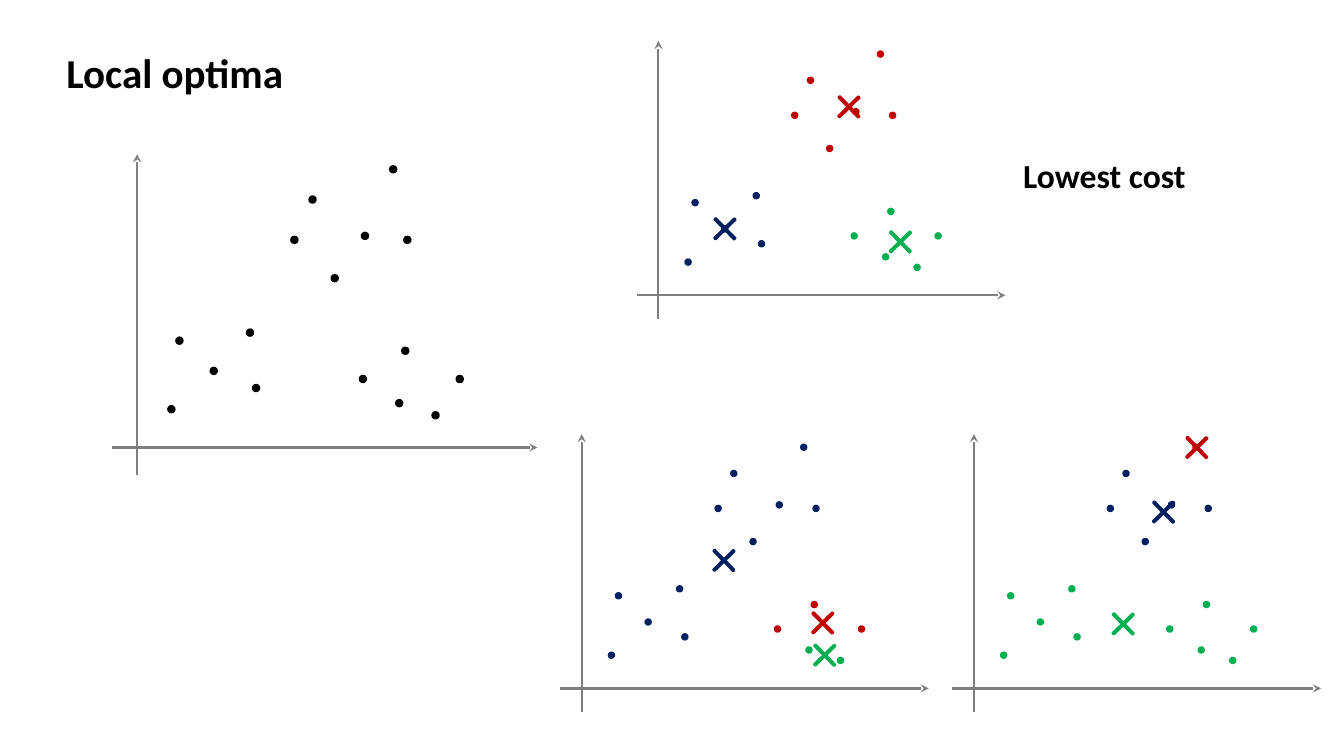
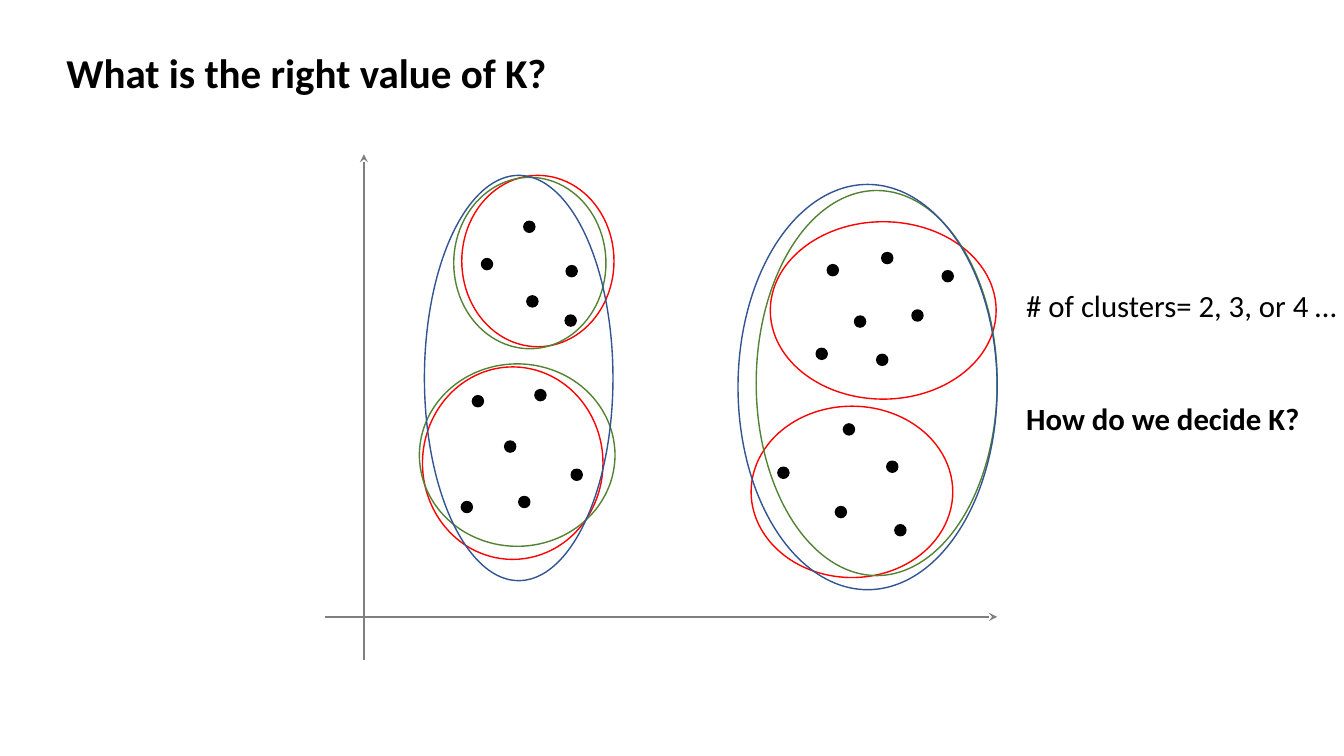
"""Build two slides on k-means: local optima and the choice of K."""
from lxml.etree import SubElement
from pptx import Presentation
from pptx.dml.color import RGBColor
from pptx.enum.shapes import MSO_CONNECTOR, MSO_SHAPE
from pptx.oxml.ns import qn
from pptx.util import Inches, Pt

BLACK = RGBColor(0x00, 0x00, 0x00)
GRAY = RGBColor(0x7F, 0x7F, 0x7F)
NAVY = RGBColor(0x00, 0x20, 0x60)
CRIMSON = RGBColor(0xC0, 0x00, 0x00)
GREEN = RGBColor(0x00, 0xB0, 0x50)
RED = RGBColor(0xFF, 0x00, 0x00)
OLIVE = RGBColor(0x54, 0x82, 0x35)
BLUE = RGBColor(0x32, 0x54, 0x91)
CLUSTER_COLORS = {"K": BLACK, "B": NAVY, "R": CRIMSON, "G": GREEN}

FONT = "Calibri"
TITLE_BOX = (0.56, 0.42, 12.11, 0.59)
TITLE_SIZE = 29.3
CROSS_SIZE = 0.28

# Offsets right of and above the axis origin, at full scale
DATA = [
    (0.34, 0.38), (0.76, 0.76), (1.12, 1.14), (1.18, 0.59), (0.42, 1.06),
    (1.56, 2.06), (2.26, 2.10), (2.54, 2.76), (1.74, 2.46), (2.68, 2.06), (1.96, 1.68),
    (3.20, 0.68), (2.66, 0.96), (2.96, 0.32), (2.60, 0.44), (2.24, 0.68),
]
DATA_EXTENT = (0.25, 3.97, 2.91, 0.27)
SMALL = 0.867
PANELS = [
    {"origin": (1.36, 4.44), "scale": 1, "dot": 0.07, "labels": "K" * 16, "centroids": {}},
    {"origin": (6.53, 2.93), "scale": SMALL, "dot": 0.06, "labels": "BBBBB" "RRRRRR" "GGGGG",
     "centroids": {"R": (8.42, 1.06), "G": (8.93, 2.40), "B": (7.19, 2.27)}},
    {"origin": (5.77, 6.83), "scale": SMALL, "dot": 0.06, "labels": "BBBBB" "BBBBBB" "RRGGR",
     "centroids": {"R": (8.16, 6.18), "G": (8.18, 6.50), "B": (7.18, 5.56)}},
    {"origin": (9.66, 6.83), "scale": SMALL, "dot": 0.06, "labels": "GGGGG" "BBRBBB" "GGGGG",
     "centroids": {"R": (11.87, 4.44), "G": (11.14, 6.19), "B": (11.54, 5.08)}},
]

K_ORIGIN = (3.61, 6.12)
K_EXTENT = (0.39, 6.28, 4.59, 0.43)
K_DOT = 0.11
K_POINTS = [
    (4.63, 5.03), (5.06, 4.43), (5.36, 3.92), (5.72, 4.71), (4.74, 3.98), (5.20, 4.98),
    (5.25, 2.25), (5.67, 2.69), (5.28, 2.99), (4.83, 2.62), (5.66, 3.18),
    (8.85, 4.63), (8.42, 4.26), (8.93, 5.26), (8.34, 5.08), (7.77, 4.69),
    (9.10, 3.13), (8.26, 2.68), (8.75, 3.57), (8.15, 3.51), (8.53, 3.19),
    (9.40, 2.74), (8.80, 2.56),
]
RINGS = {
    RED: [(4.58, 1.74, 1.51, 1.70), (4.19, 3.64, 1.79, 1.91),
          (7.64, 2.20, 2.24, 1.76), (7.45, 4.03, 2.00, 1.70)],
    OLIVE: [(4.50, 1.76, 1.51, 1.70), (4.16, 3.61, 1.94, 1.81), (7.50, 1.89, 2.39, 3.82)],
    BLUE: [(4.21, 1.74, 1.87, 4.02), (7.32, 1.83, 2.57, 4.02)],
}


def add_text(slide, box, lines, size, wrap=False, gap=0):
    tf = slide.shapes.add_textbox(*map(Inches, box)).text_frame
    tf.word_wrap = wrap
    for i, (text, bold) in enumerate(lines):
        p = tf.paragraphs[0] if i == 0 else tf.add_paragraph()
        p.text = text
        p.font.name, p.font.size, p.font.bold = FONT, Pt(size), bold
        p.font.color.rgb = BLACK
        if i:
            p.space_before = Pt(gap)


def add_shape(shapes, kind, box, color, width=1, filled=True):
    sp = shapes.add_shape(kind, *map(Inches, box))
    sp.shadow.inherit = False
    sp.line.color.rgb = color
    sp.line.width = Pt(width)
    if filled:
        sp.fill.solid()
        sp.fill.fore_color.rgb = color
    else:
        sp.fill.background()
    return sp


def centered(x, y, size):
    return x - size / 2, y - size / 2, size, size


def add_dot(shapes, x, y, size, color):
    add_shape(shapes, MSO_SHAPE.OVAL, centered(x, y, size), color)


def add_cross(shapes, x, y, color):
    sp = add_shape(shapes, MSO_SHAPE.CROSS, centered(x, y, CROSS_SIZE), color, 1.5)
    sp.adjustments[0] = 0.466
    sp.rotation = 45.6


def add_axes(shapes, origin, extent, scale=1):
    x, y = origin
    left, right, up, down = (d * scale for d in extent)
    for ends in ((x, y + down, x, y - up), (x - left, y, x + right, y)):
        axis = shapes.add_connector(MSO_CONNECTOR.STRAIGHT, *map(Inches, ends))
        axis.line.color.rgb = GRAY
        axis.line.width = Pt(1.5)
        SubElement(axis.line._get_or_add_ln(), qn("a:tailEnd"), type="stealth")
        SubElement(axis._element.spPr, qn("a:effectLst"))


def add_panel(slide, origin, scale, dot, labels, centroids):
    shapes = slide.shapes.add_group_shape().shapes
    for label, (x, y) in centroids.items():
        add_cross(shapes, x, y, CLUSTER_COLORS[label])
    add_axes(shapes, origin, DATA_EXTENT, scale)
    for (dx, dy), label in zip(DATA, labels):
        add_dot(shapes, origin[0] + dx * scale, origin[1] - dy * scale, dot,
                CLUSTER_COLORS[label])


def add_slide(prs, title):
    slide = prs.slides.add_slide(prs.slide_layouts[6])
    add_text(slide, TITLE_BOX, [(title, True)], TITLE_SIZE, wrap=True)
    return slide


def main():
    prs = Presentation()
    prs.slide_width, prs.slide_height = Inches(13.33), Inches(7.5)

    slide = add_slide(prs, "Local optima")
    for panel in PANELS:
        add_panel(slide, **panel)
    add_text(slide, (10.05, 1.49, 1.83, 0.5), [("Lowest cost", True)], 24)

    slide = add_slide(prs, "What is the right value of K?")
    add_axes(slide.shapes, K_ORIGIN, K_EXTENT)
    for x, y in K_POINTS:
        add_dot(slide.shapes, x, y, K_DOT, BLACK)
    add_text(slide, (10.08, 2.8, 3.32, 1.58),
             [("# of clusters= 2, 3, or 4 …", False), ("How do we decide K?", True)],
             22, gap=54)
    for color, boxes in RINGS.items():
        for box in boxes:
            add_shape(slide.shapes, MSO_SHAPE.OVAL, box, color, filled=False)

    prs.save("out.pptx")


if __name__ == "__main__":
    main()
